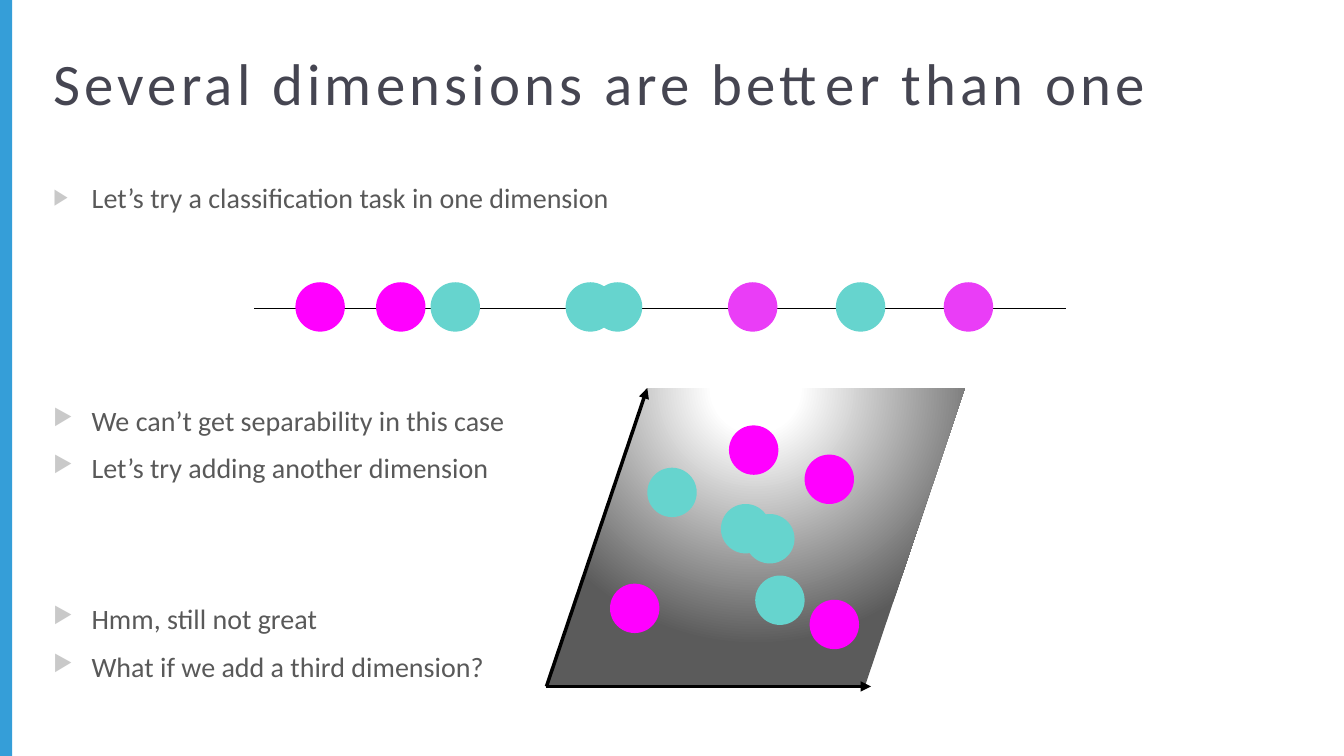
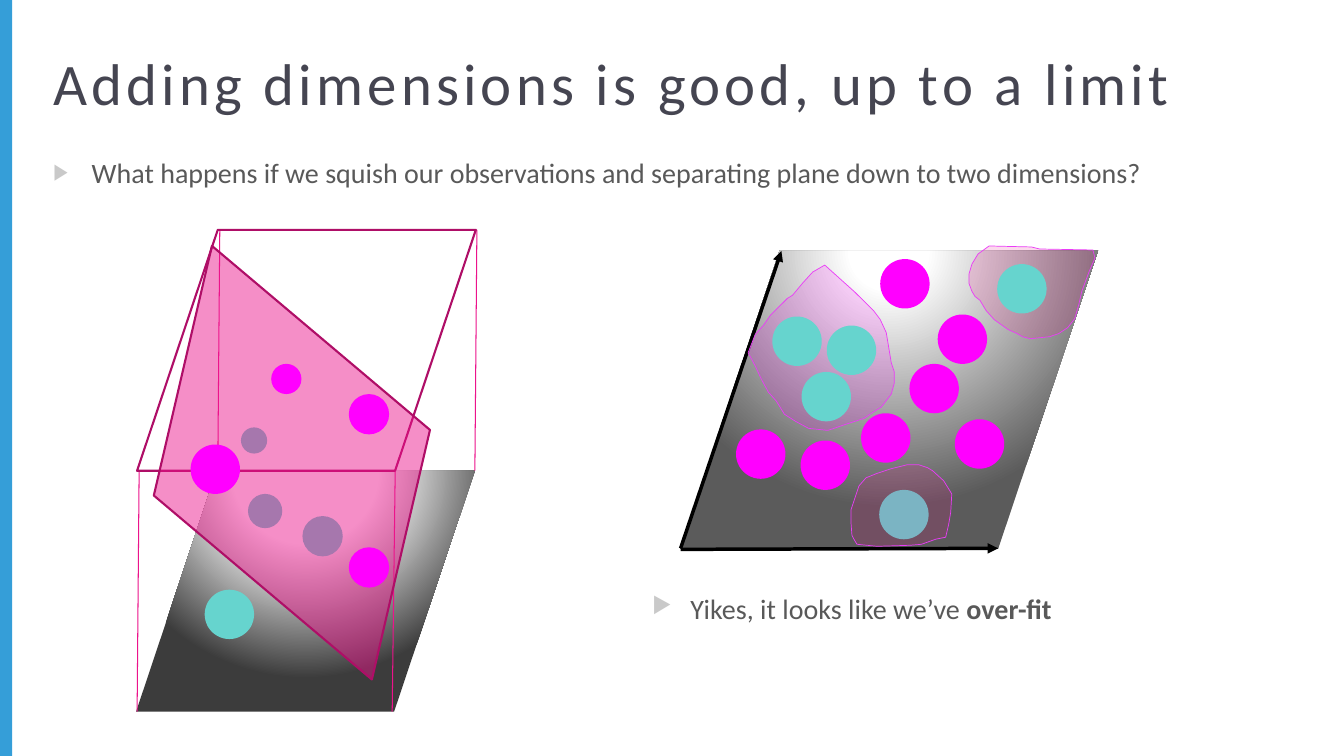
"""Build two slides on separating classes in one, two and three dimensions."""
import lxml.etree
import pptx
import pptx.dml.color
import pptx.enum.shapes
import pptx.enum.text
import pptx.oxml.ns
import pptx.util

RGB = pptx.dml.color.RGBColor
SHAPE = pptx.enum.shapes.MSO_SHAPE
qn = pptx.oxml.ns.qn

PX = 9144
FONT = "Calibri"
BAND_BLUE = RGB(0x35, 0x9E, 0xD8)
TITLE_INK = RGB(0x45, 0x45, 0x51)
BODY_INK = RGB(0x59, 0x59, 0x59)
BULLET_GREY = RGB(0xC9, 0xC9, 0xC9)
BLACK = RGB(0, 0, 0)
WHITE = RGB(0xFF, 0xFF, 0xFF)
FLOOR_GREY = RGB(0x5B, 0x5B, 0x5B)
CUBE_GREY = RGB(0x3C, 0x3C, 0x3C)
MAGENTA = RGB(0xFF, 0, 0xFF)
VIOLET = RGB(0xEA, 0x3D, 0xF7)
TEAL = RGB(0x66, 0xD4, 0xCE)
PINK = RGB(0xEC, 0x13, 0x8B)
PLUM = RGB(0xAF, 0x0E, 0x67)

DOT = 49
SLANT = 0.335
TITLE_FRAME = (43, 37, 1156, 108)

ONE_DIMENSION = {
    "title": "Several dimensions are better than one",
    "body": ((43, 174, 1057, 49), [("Let’s try a classification task in one dimension",)]),
    "notes": [
        ((43, 395, 1057, 94), [("We can’t get separability in this case",),
                               ("Let’s try adding another dimension",)]),
        ((43, 592, 1057, 94), [("Hmm, still not great",),
                               ("What if we add a third dimension?",)]),
    ],
}
AXIS = (252, 306, 1057, 306)
AXIS_DOT_TOP = 280
AXIS_DOTS = [(293, MAGENTA), (373, MAGENTA), (427, TEAL), (561, TEAL),
             (588, TEAL), (722, VIOLET), (829, TEAL), (936, VIOLET)]
FLAT_PLANE = (542, 385, 415, 296)
FLAT_ARROWS = [(542, 681, 642, 385), (542, 681, 864, 681)]
FLAT_DOTS = {
    TEAL: [(642, 464), (715, 500), (739, 510), (749, 571)],
    MAGENTA: [(723, 422), (605, 579), (798, 451), (803, 595)],
}

MORE_DIMENSIONS = {
    "title": "Adding dimensions is good, up to a limit",
    "body": ((43, 149, 1226, 157), [("What happens if we squish our observations and "
                                     "separating plane down to two dimensions?",)]),
    "notes": [((637, 582, 500, 157), [("Yikes, it looks like we’ve ", "over-fit")])],
}
CUBE_FLOOR = (135, 467, 336, 239)
CUBE_LID = (136, 228, 336, 239)
CUBE_EDGES = [(473, 228, 471, 467), (392, 467, 389, 706),
              (218, 228, 216, 467), (138, 467, 136, 706)]
DOTS_BEHIND = [(239, 424, 26), (246, 490, 34), (300, 512, 40), (203, 585, DOT)]
DOTS_IN_FRONT = [(269, 361, 30), (189, 441, DOT), (346, 391, 40), (346, 543, 40)]
SEPARATOR = (98, 333, 383, 252)
SEPARATOR_SLANT, SEPARATOR_TURN = 0.511, 283.1

SQUISHED_PLANE = (674, 249, 415, 296)
SQUISHED_ARROWS = [(675, 544, 775, 249), (675, 545, 990, 544)]
SQUISHED_DOTS = {
    TEAL: [(766, 314), (820, 323), (795, 369), (872, 486), (989, 262)],
    MAGENTA: [(873, 257), (730, 426), (930, 312), (947, 416),
              (902, 361), (854, 410), (794, 437)],
}
CORNER_REGION = [
    (981, 244), (970, 252), (964, 262), (961, 272), (961, 281), (964, 289), (967, 294),
    (972, 298), (978, 308), (986, 317), (1000, 327), (1009, 331), (1014, 334),
    (1022, 336), (1041, 334), (1050, 331), (1059, 325), (1066, 316), (1070, 302),
    (1073, 289), (1080, 270), (1086, 256), (1084, 248), (1031, 247), (1023, 245)]
LEFT_REGION = [
    (818, 263), (848, 290), (858, 300), (867, 309), (873, 317), (879, 330), (881, 342),
    (884, 360), (887, 369), (887, 380), (884, 391), (874, 404), (866, 409), (857, 415),
    (839, 421), (821, 427), (802, 425), (789, 418), (778, 411), (770, 398), (762, 389),
    (755, 376), (749, 363), (742, 350), (749, 332), (757, 323), (764, 313), (773, 304),
    (781, 296), (786, 293), (796, 281), (806, 270)]
BOTTOM_REGION = [
    (845, 531), (844, 518), (844, 506), (848, 494), (852, 482), (859, 474), (869, 470),
    (884, 465), (900, 461), (911, 461), (920, 464), (925, 467), (936, 477), (944, 490),
    (943, 508), (941, 520), (938, 533), (928, 535), (914, 540), (903, 541), (870, 542),
    (850, 540), (847, 535)]


def px(*lengths):
    return [pptx.util.Emu(length * PX) for length in lengths]


def sub(parent, tag, **attributes):
    return lxml.etree.SubElement(parent, qn(tag), attributes)


def style_shape(shape, fill=None, alpha=None, line=None, width=1):
    shape.shadow.inherit = False
    if fill is None:
        shape.fill.background()
    else:
        shape.fill.solid()
        shape.fill.fore_color.rgb = fill
    if alpha is not None:
        color = shape.element.spPr.find(qn("a:solidFill")).find(qn("a:srgbClr"))
        sub(color, "a:alpha", val=str(alpha * 1000))
    if line is None:
        shape.line.fill.background()
    else:
        shape.line.color.rgb = line
        shape.line.width = pptx.util.Pt(width)


def add_dot(shapes, left, top, color, size=DOT):
    style_shape(shapes.add_shape(SHAPE.OVAL, *px(left, top, size, size)), color)


def add_dots(shapes, dots):
    for color, places in dots.items():
        for left, top in places:
            add_dot(shapes, left, top, color)


def add_line(shapes, ends, color, width, arrow=False):
    line = shapes.add_connector(pptx.enum.shapes.MSO_CONNECTOR.STRAIGHT, *px(*ends))
    line.line.color.rgb = color
    line.line.width = pptx.util.Pt(width)
    properties = line.element.spPr
    if arrow:
        sub(properties.find(qn("a:ln")), "a:tailEnd", type="triangle")
    sub(properties, "a:effectLst")


def add_parallelogram(shapes, frame, slant=SLANT, **style):
    shape = shapes.add_shape(SHAPE.PARALLELOGRAM, *px(*frame))
    shape.adjustments[0] = slant
    style_shape(shape, **style)
    return shape


def add_glowing_plane(shapes, frame, edge, glow):
    properties = add_parallelogram(shapes, frame).element.spPr
    gradient = lxml.etree.Element(qn("a:gradFill"), rotWithShape="1")
    stops = sub(gradient, "a:gsLst")
    for position, color in [(0, WHITE), (glow, WHITE), (100, edge)]:
        sub(sub(stops, "a:gs", pos=str(position * 1000)), "a:srgbClr", val=str(color))
    circle = sub(gradient, "a:path", path="circle")
    sub(circle, "a:fillToRect", l="50000", t="-80000", r="50000", b="180000")
    properties.replace(properties.find(qn("a:noFill")), gradient)


def add_region(shapes, points, color):
    builder = shapes.build_freeform(*points[0], scale=PX)
    builder.add_line_segments(points[1:], close=True)
    style_shape(builder.convert_to_shape(), color, 16, VIOLET, 0.5)


def fill_list(box, frame, items):
    box.left, box.top, box.width, box.height = px(*frame)
    text = box.text_frame
    text.word_wrap = True
    text.auto_size = pptx.enum.text.MSO_AUTO_SIZE.NONE
    for index, spans in enumerate(items):
        para = text.add_paragraph() if index else text.paragraphs[0]
        indent = px(38)[0]
        properties = para._p.get_or_add_pPr()
        properties.set("marL", str(indent))
        properties.set("indent", str(-indent))
        sub(sub(properties, "a:buClr"), "a:srgbClr", val=str(BULLET_GREY))
        sub(properties, "a:buSzPct", val="80000")
        sub(properties, "a:buChar", char="▶")
        para.space_before = pptx.util.Pt(10 if index else 0)
        for order, words in enumerate(spans):
            span = para.add_run()
            span.text = words
            span.font.name = FONT
            span.font.size = pptx.util.Pt(20)
            span.font.color.rgb = BODY_INK
            span.font.bold = order > 0


def add_page(deck, content):
    page = deck.slides.add_slide(deck.slide_layouts[1])
    title = page.shapes.title
    title.left, title.top, title.width, title.height = px(*TITLE_FRAME)
    text = title.text_frame
    text.text = content["title"]
    text.auto_size = pptx.enum.text.MSO_AUTO_SIZE.NONE
    text.vertical_anchor = pptx.enum.text.MSO_ANCHOR.TOP
    text.margin_top = px(9)[0]
    para = text.paragraphs[0]
    para.alignment = pptx.enum.text.PP_ALIGN.LEFT
    span = para.runs[0]
    span.font.name = FONT
    span.font.size = pptx.util.Pt(42)
    span.font.color.rgb = TITLE_INK
    span.font._element.set("spc", "300")
    fill_list(page.placeholders[1], *content["body"])
    for frame, items in content["notes"]:
        fill_list(page.shapes.add_textbox(*px(*frame)), frame, items)
    return page


def add_master_band(deck, page):
    band = page.shapes.add_shape(SHAPE.RECTANGLE, *px(0, 0, 12, 750))
    style_shape(band, BAND_BLUE)
    band.element.xpath(".//p:cNvPr")[0].set("id", "99")
    deck.slide_master.shapes.element.insert(2, band.element)


def draw_axis(page):
    shapes = page.shapes.add_group_shape().shapes
    add_line(shapes, AXIS, BLACK, 0.75)
    for left, color in AXIS_DOTS:
        add_dot(shapes, left, AXIS_DOT_TOP, color)


def draw_plane(page, frame, glow, arrows):
    add_glowing_plane(page.shapes, frame, FLOOR_GREY, glow)
    for ends in arrows:
        add_line(page.shapes, ends, BLACK, 2.5, arrow=True)


def draw_cube(page):
    shapes = page.shapes.add_group_shape().shapes
    add_glowing_plane(shapes, CUBE_FLOOR, CUBE_GREY, 35)
    for ends in CUBE_EDGES:
        add_line(shapes, ends, PINK, 0.75)
    for left, top, size in DOTS_BEHIND:
        add_dot(shapes, left, top, TEAL, size)
    add_parallelogram(shapes, CUBE_LID, line=PLUM, width=1.5)
    separator = add_parallelogram(shapes, SEPARATOR, SEPARATOR_SLANT,
                                  fill=PINK, alpha=48, line=PLUM, width=1.5)
    separator.rotation = SEPARATOR_TURN
    for left, top, size in DOTS_IN_FRONT:
        add_dot(shapes, left, top, MAGENTA, size)


def main():
    deck = pptx.Presentation()
    deck.slide_width, deck.slide_height = px(1333, 750)

    page = add_page(deck, ONE_DIMENSION)
    add_master_band(deck, page)
    draw_axis(page)
    draw_plane(page, FLAT_PLANE, 17, FLAT_ARROWS)
    add_dots(page.shapes, FLAT_DOTS)

    page = add_page(deck, MORE_DIMENSIONS)
    draw_plane(page, SQUISHED_PLANE, 15, SQUISHED_ARROWS)
    add_region(page.shapes, CORNER_REGION, PINK)
    add_region(page.shapes, LEFT_REGION, MAGENTA)
    draw_cube(page)
    add_dots(page.shapes, SQUISHED_DOTS)
    add_region(page.shapes, BOTTOM_REGION, PINK)

    deck.save("out.pptx")


if __name__ == "__main__":
    main()
